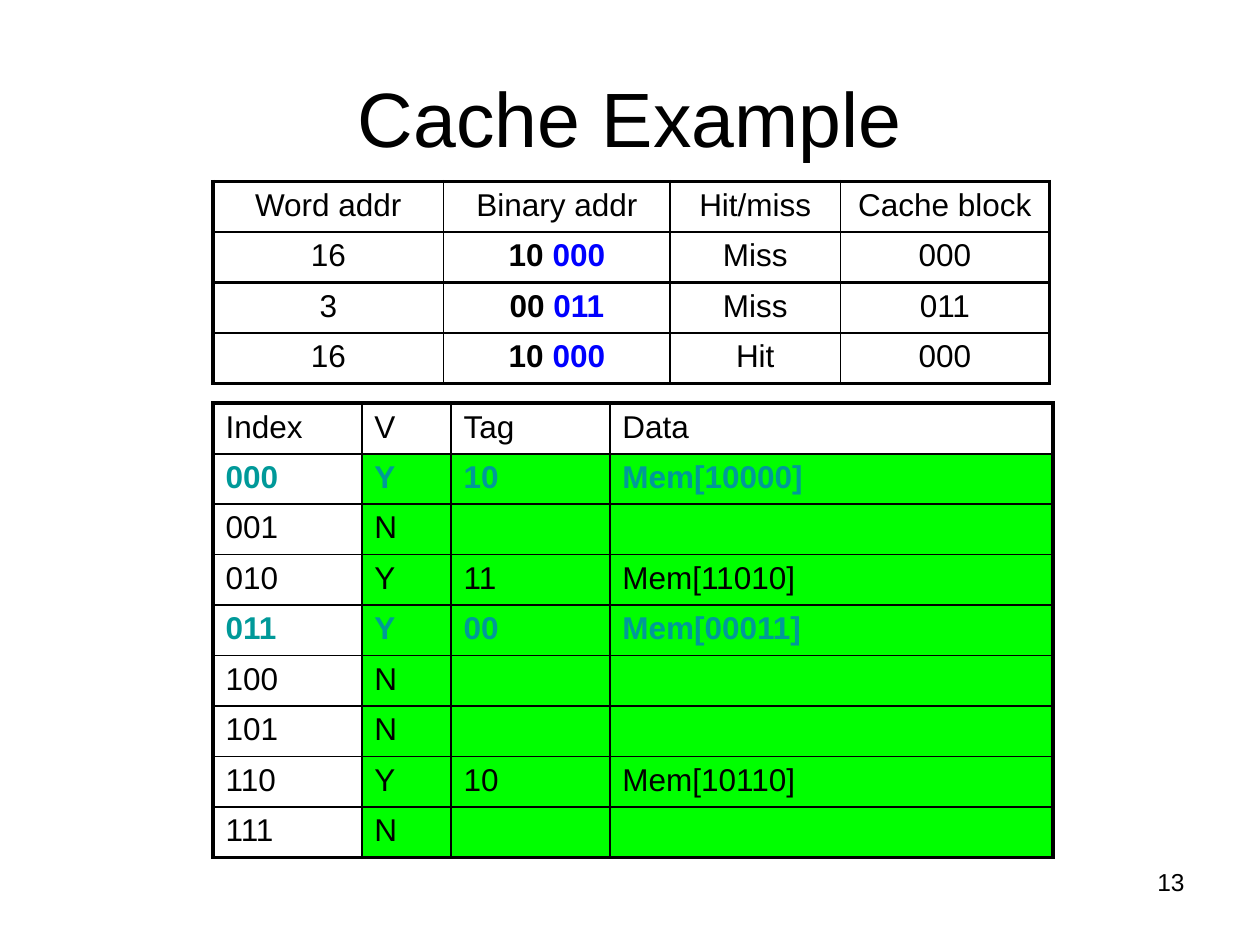
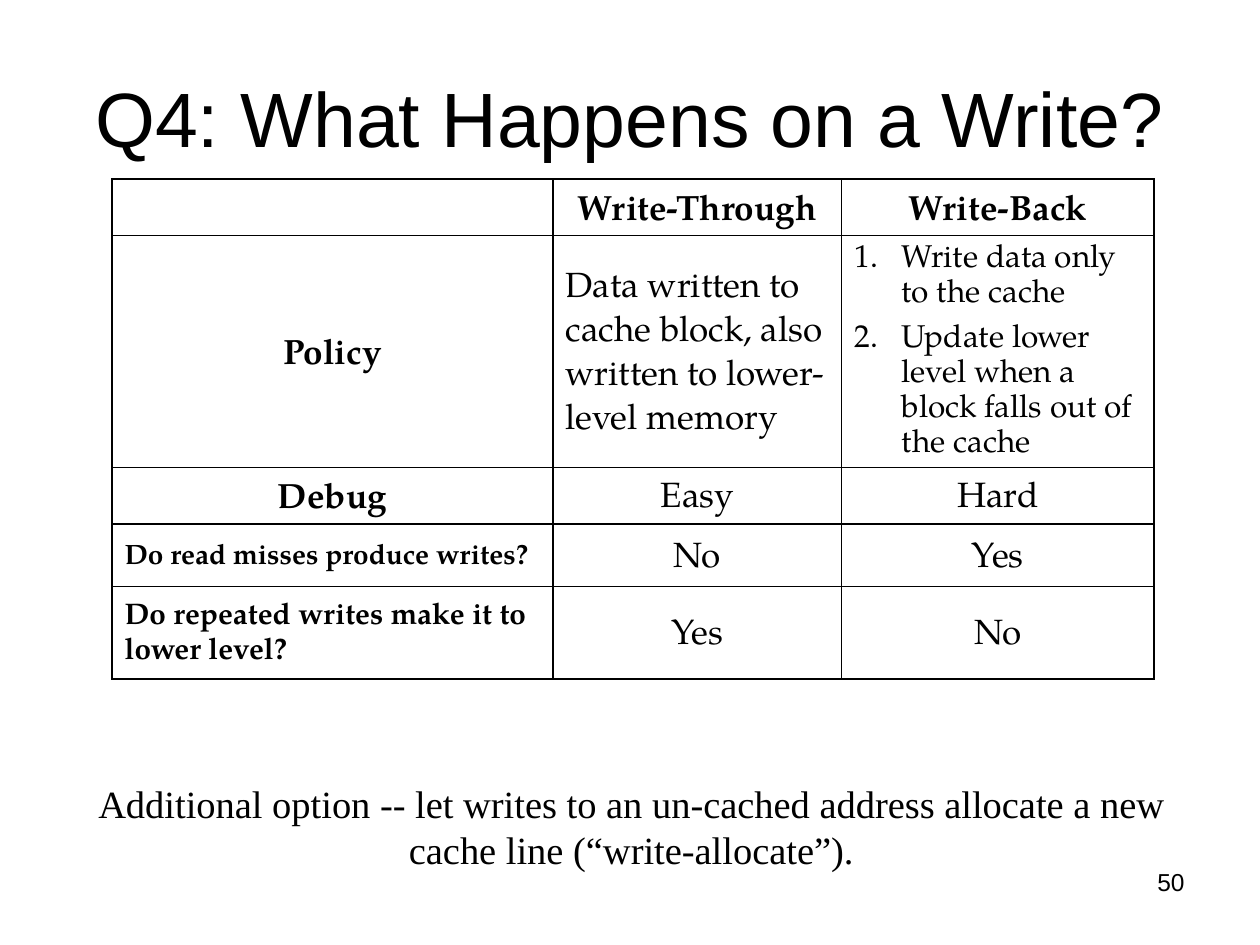
from lxml.etree import SubElement
from pptx import Presentation
from pptx.dml.color import RGBColor
from pptx.enum.text import MSO_ANCHOR as Anchor, MSO_AUTO_SIZE as AutoSize, PP_ALIGN as Align
from pptx.oxml.ns import qn
from pptx.util import Pt

# Shared look
BLACK = RGBColor(0x00, 0x00, 0x00)
BLUE = RGBColor(0x00, 0x00, 0xFF)
TEAL = RGBColor(0x00, 0x99, 0x99)
GREEN = RGBColor(0x00, 0xFF, 0x00)
SANS, BOOK, SERIF = "Arial", "TeX Gyre Pagella", "Times New Roman"
TITLE_BOX = (36, 21.6, 648, 90)
NUMBER_BOX = (516.25, 491.75, 167.75, 37.5)
TITLE_ONLY = 5

# Slide content
ACCESSES = [
    ("16", "10 ", "000", "Miss"),
    ("3", "00 ", "011", "Miss"),
    ("16", "10 ", "000", "Hit"),
]
CACHE_LINES = [
    ("000", "Y", "10", "Mem[10000]"),
    ("001", "N", "", ""),
    ("010", "Y", "11", "Mem[11010]"),
    ("011", "Y", "00", "Mem[00011]"),
    ("100", "N", "", ""),
    ("101", "N", "", ""),
    ("110", "Y", "10", "Mem[10110]"),
    ("111", "N", "", ""),
]
TOUCHED = ("000", "011")
# Label, label size, label line height, write-through answer, write-back answer
COMPARISONS = [
    ("Debug", 20, 25, "Easy", "Hard"),
    ("Do read misses produce writes?", 16, 19, "No", "Yes"),
    ("Do repeated writes make it to lower level?", 17, 20, "Yes", "No"),
]


def write(paragraph, text, font=SANS, size=18, color=BLACK, bold=False,
          align=None, line=None, before=None):
    """Append a formatted run to a paragraph."""
    run = paragraph.add_run()
    run.text = text
    run.font.name = font
    run.font.size = Pt(size)
    run.font.bold = bold
    run.font.color.rgb = color
    if align is not None:
        paragraph.alignment = align
    if line:
        paragraph.line_spacing = Pt(line)
    if before:
        paragraph.space_before = Pt(before)


def number_item(paragraph, indent):
    properties = paragraph._p.get_or_add_pPr()
    properties.set("marL", str(Pt(indent)))
    properties.set("indent", str(-Pt(indent)))
    SubElement(properties, qn("a:buAutoNum"), type="arabicPeriod")


def set_borders(cell, **widths):
    properties = cell._tc.get_or_add_tcPr()
    for side in "LRTB":
        line = SubElement(properties, qn(f"a:ln{side}"), w=str(Pt(widths[side])))
        fill = SubElement(line, qn("a:solidFill"))
        SubElement(fill, qn("a:srgbClr"), val=str(BLACK))


def add_grid(slide, left, top, widths, heights, outline=1, header_rule=1, row_rule=1):
    """Add an unfilled table with ruled cells."""
    last_row, last_column = len(heights) - 1, len(widths) - 1
    table = slide.shapes.add_table(
        len(heights), len(widths), Pt(left), Pt(top),
        Pt(sum(widths)), Pt(sum(heights))).table
    table.first_row = table.horz_banding = False
    for column, width in zip(table.columns, widths):
        column.width = Pt(width)
    for row, height in zip(table.rows, heights):
        row.height = Pt(height)
    rules = [outline, header_rule] + [row_rule] * (last_row - 1) + [outline]
    for r in range(last_row + 1):
        for c in range(last_column + 1):
            cell = table.cell(r, c)
            set_borders(cell, L=1 if c else outline,
                        R=1 if c < last_column else outline,
                        T=rules[r], B=rules[r + 1])
            cell.fill.background()
    return table


def add_text_box(slide, box, text, margin=None, **style):
    frame = slide.shapes.add_textbox(*map(Pt, box)).text_frame
    frame.word_wrap = True
    if margin is not None:
        frame.margin_left = frame.margin_right = Pt(margin)
        frame.margin_top = frame.margin_bottom = Pt(margin)
    write(frame.paragraphs[0], text, **style)


def add_slide(presentation, title, number):
    """Add a slide with its title and page number."""
    slide = presentation.slides.add_slide(presentation.slide_layouts[TITLE_ONLY])
    shape = slide.shapes.title
    shape.left, shape.top, shape.width, shape.height = map(Pt, TITLE_BOX)
    frame = shape.text_frame
    frame.auto_size = AutoSize.NONE
    frame.vertical_anchor = Anchor.MIDDLE
    write(frame.paragraphs[0], title, size=44, align=Align.CENTER)
    add_text_box(slide, NUMBER_BOX, number, size=14, align=Align.RIGHT)
    return slide


def add_cache_table(slide, left, top):
    rows = [("Index", "V", "Tag", "Data")] + CACHE_LINES
    table = add_grid(slide, left, top, (85, 51, 90.75, 253.25), [28.8] * len(rows),
                     outline=2.25, header_rule=1.5)
    for r, values in enumerate(rows):
        touched = values[0] in TOUCHED
        for c, value in enumerate(values):
            cell = table.cell(r, c)
            if r and c:
                cell.fill.solid()
                cell.fill.fore_color.rgb = GREEN
            if value:
                write(cell.text_frame.paragraphs[0], value, bold=touched,
                      color=TEAL if touched else BLACK)


def add_access_table(slide, left, top):
    table = add_grid(slide, left, top, (131.75, 129.5, 97.25, 119.5),
                     [28.8] * (len(ACCESSES) + 1),
                     outline=2.25, header_rule=1.5, row_rule=1.5)

    def fill_cell(row, column, text, **style):
        write(table.cell(row, column).text_frame.paragraphs[0], text,
              align=Align.CENTER, **style)

    for c, heading in enumerate(("Word addr", "Binary addr", "Hit/miss", "Cache block")):
        fill_cell(0, c, heading)
    for r, (word, tag, block, result) in enumerate(ACCESSES, 1):
        fill_cell(r, 0, word)
        fill_cell(r, 1, tag, bold=True)
        fill_cell(r, 1, block, bold=True, color=BLUE)
        fill_cell(r, 2, result)
        fill_cell(r, 3, block)


def add_write_table(slide, left, top):
    table = add_grid(slide, left, top, (252, 165, 178.5), (32.2, 132.6, 32.2, 35.6, 53))

    def fill_cell(row, column, text, size=20, line=25, align=Align.CENTER, **style):
        cell = table.cell(row, column)
        cell.vertical_anchor = Anchor.MIDDLE
        write(cell.text_frame.paragraphs[0], text, font=BOOK, size=size,
              line=line, align=align, **style)

    # Headings and policy row
    fill_cell(0, 1, "Write-Through", bold=True)
    fill_cell(0, 2, "Write-Back", bold=True)
    fill_cell(1, 0, "Policy", bold=True)
    fill_cell(1, 1, "Data written to cache block, also written to lower-level memory",
              align=Align.LEFT)
    fill_cell(1, 2, "Write data only to the cache", size=18, line=20,
              align=Align.LEFT, before=5.4)
    frame = table.cell(1, 2).text_frame
    write(frame.add_paragraph(), "Update lower level when a block falls out of the cache",
          font=BOOK, line=20, before=5.4)
    for paragraph in frame.paragraphs:
        number_item(paragraph, 27)

    # Comparison rows
    for r, (label, size, line, through, back) in enumerate(COMPARISONS, 2):
        fill_cell(r, 0, label, size=size, line=line, bold=True,
                  align=Align.CENTER if size == 20 else Align.LEFT)
        fill_cell(r, 1, through)
        fill_cell(r, 2, back)


def main():
    presentation = Presentation()
    presentation.slide_width, presentation.slide_height = Pt(720), Pt(540)

    slide = add_slide(presentation, "Cache Example", "13")
    add_cache_table(slide, 121.75, 230.4)
    add_access_table(slide, 121.75, 103.75)

    slide = add_slide(presentation, "Q4: What Happens on a Write?", "50")
    add_write_table(slide, 64, 102.25)
    add_text_box(slide, (47.5, 445.75, 626.5, 53.25),
                 "Additional option -- let writes to an un-cached address "
                 "allocate a new cache line (“write-allocate”).",
                 margin=0, font=SERIF, size=22, align=Align.CENTER)

    presentation.save("out.pptx")


if __name__ == "__main__":
    main()
